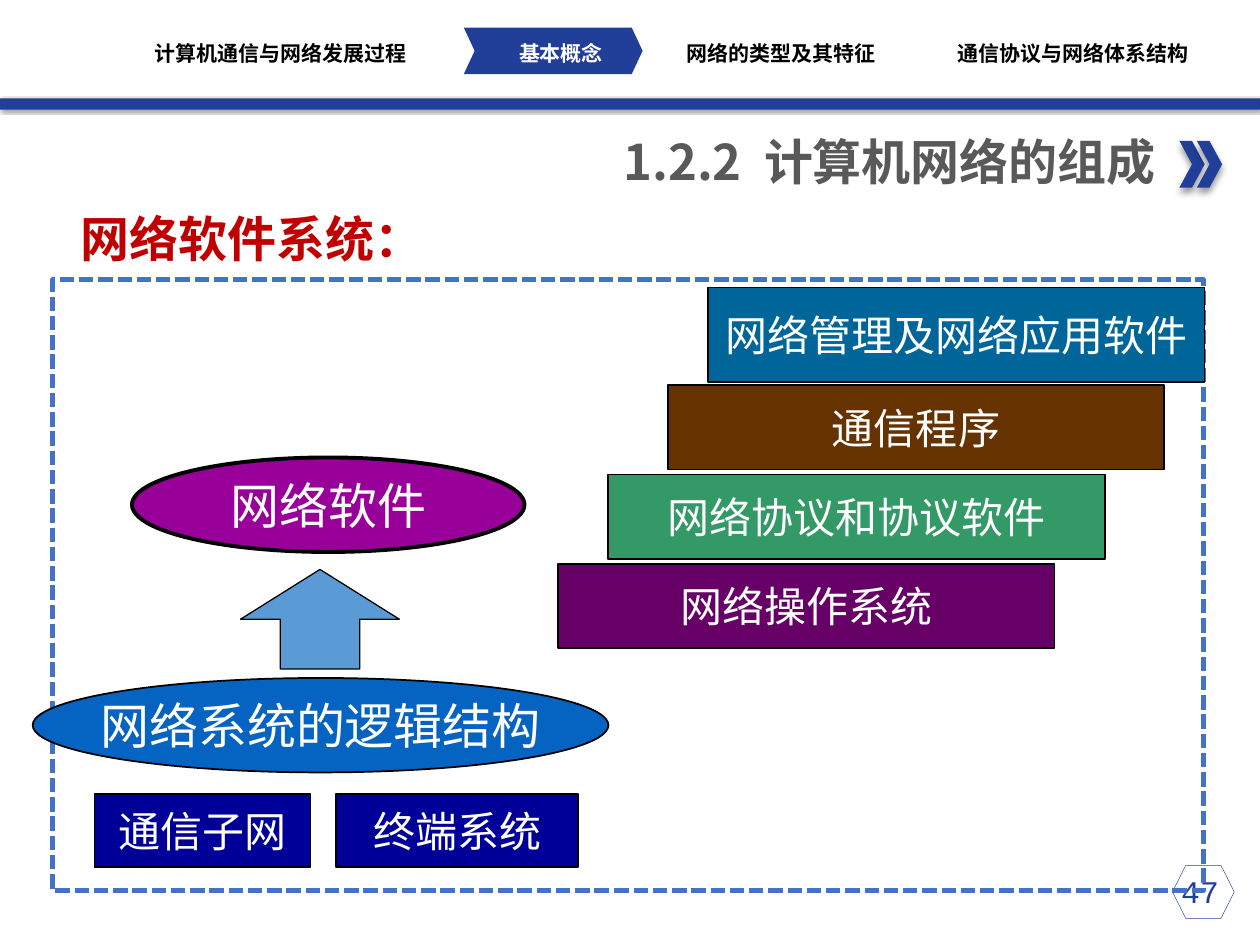
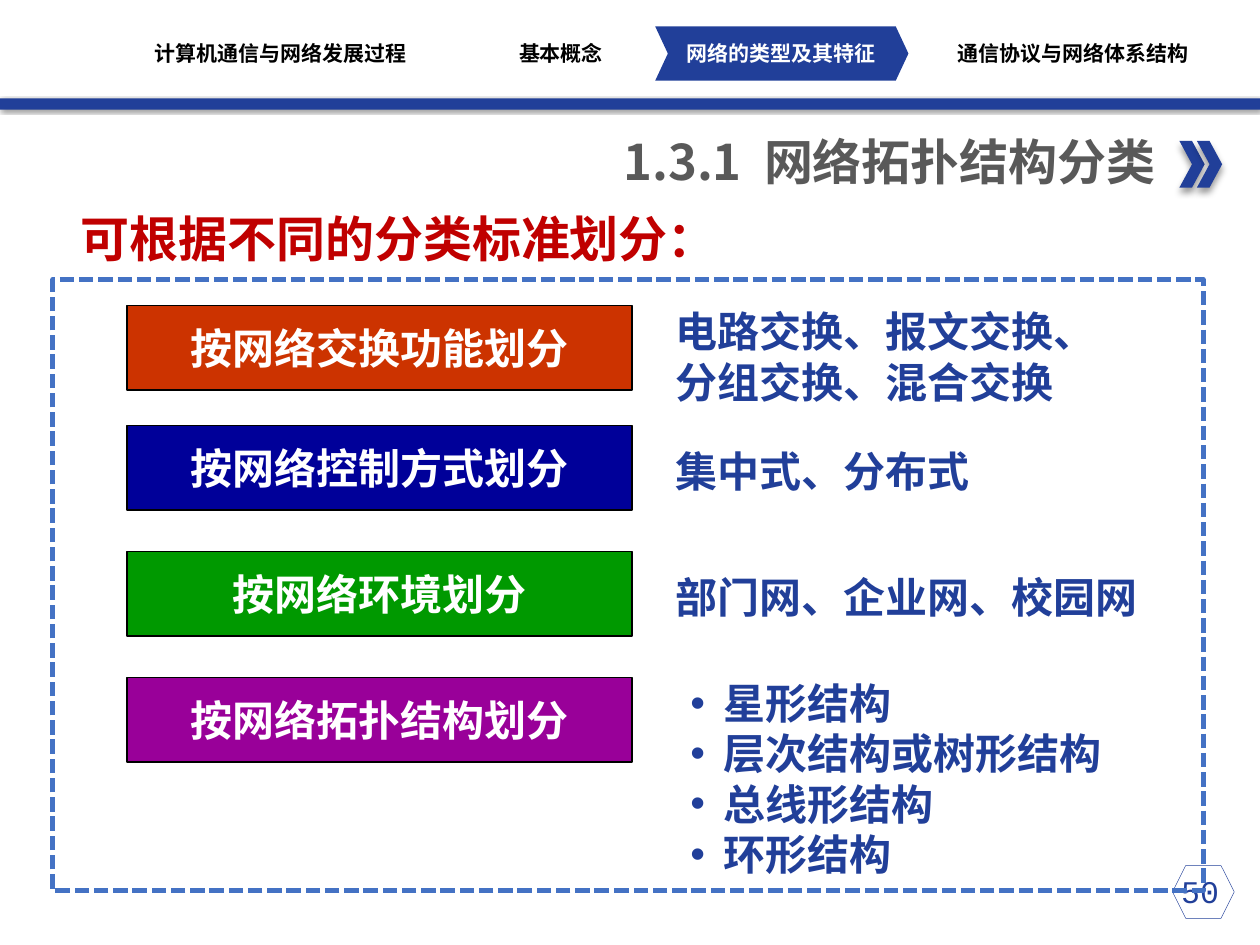
from dataclasses import dataclass

from lxml import etree
from pptx import Presentation
from pptx import util as u
from pptx.dml.color import RGBColor
from pptx.enum import dml, shapes, text
from pptx.oxml import ns

Pt = u.Pt
SHAPE = shapes.MSO_SHAPE
ALIGN = text.PP_ALIGN
ANCHOR = text.MSO_ANCHOR


@dataclass(frozen=True)
class Theme:
    navy: str = "213F99"
    grey: str = "595959"
    red: str = "C00000"
    frame: str = "4472C4"
    arrow: str = "5B9BD5"
    black: str = "000000"
    white: str = "FFFFFF"
    purple: str = "990099"
    plum: str = "660066"
    green: str = "339966"
    leaf: str = "009900"
    brown: str = "663300"
    teal: str = "006699"
    blue: str = "0563C1"
    deep_blue: str = "000099"
    orange: str = "CC3300"
    font: str = "Noto Sans CJK SC"
    nav_font: str = "Arial Narrow"
    page_font: str = "Courier New"
    heading: int = 28
    body: int = 24
    page: int = 18
    nav: int = 12
    leading: float = 28.8


T = Theme()

NAV = [
    ("计算机通信与网络发展过程", 160.3),
    ("基本概念", 320.6),
    ("网络的类型及其特征", 446.6),
    ("通信协议与网络体系结构", 613.4),
]


def child(parent, tag, **attrs):
    return etree.SubElement(parent, ns.qn(tag), {k: str(v) for k, v in attrs.items()})


def rgb(color):
    return RGBColor.from_string(color)


def write(sp, content, size=T.body, color=T.white, font=T.font, bold=False,
          align=ALIGN.CENTER, anchor=ANCHOR.MIDDLE, wrap=True, inset=None,
          leading=None, bullet=None):
    tf = sp.text_frame
    tf.word_wrap = wrap
    tf.vertical_anchor = anchor
    if inset is not None:
        tf.margin_left = tf.margin_right = tf.margin_top = tf.margin_bottom = Pt(inset)
    for i, line in enumerate(content.split("\n")):
        p = tf.add_paragraph() if i else tf.paragraphs[0]
        p.alignment = align
        if leading:
            p.line_spacing = Pt(leading)
        if bullet:
            pPr = p._p.get_or_add_pPr()
            pPr.set("marL", str(Pt(19)))
            pPr.set("indent", str(-Pt(19)))
            child(pPr, "a:buFont", typeface="Arial")
            child(pPr, "a:buChar", char=bullet)
        r = p.add_run()
        r.text = line
        r.font.size = Pt(size)
        r.font.bold = bold
        r.font.color.rgb = rgb(color)
        r.font.name = font
        child(r._r.get_or_add_rPr(), "a:ea", typeface=T.font)


def add_text(slide, box, content, **fmt):
    sp = slide.shapes.add_textbox(*map(Pt, box))
    write(sp, content, **fmt)
    return sp


def add_shape(slide, kind, box, fill=None, line=None, weight=1, adj=None):
    sp = slide.shapes.add_shape(kind, *map(Pt, box))
    sp.shadow.inherit = False
    if fill:
        sp.fill.solid()
        sp.fill.fore_color.rgb = rgb(fill)
    else:
        sp.fill.background()
    if line:
        sp.line.color.rgb = rgb(line)
        sp.line.width = Pt(weight)
    else:
        sp.line.fill.background()
    if adj is not None:
        sp.adjustments[0] = adj
    return sp


def add_label(slide, kind, box, fill, content, weight=1, **fmt):
    sp = add_shape(slide, kind, box, fill, T.black, weight)
    write(sp, content, wrap=False, **fmt)


def add_shadow(sp, blur, dist, angle):
    effects = sp._element.spPr.find(ns.qn("a:effectLst"))
    shadow = child(effects, "a:outerShdw", blurRad=Pt(blur), dist=Pt(dist),
                   dir=angle * 60000, algn="t", rotWithShape=0)
    color = child(shadow, "a:srgbClr", val=T.black)
    child(color, "a:alpha", val=40000)


def add_nav(slide, active, marker):
    add_shape(slide, SHAPE.CHEVRON, marker, T.navy, adj=0.234)
    width = 180
    for i, (label, center) in enumerate(NAV):
        add_text(slide, (center - width / 2, 23, width, 14.4), label, size=T.nav,
                 font=T.nav_font, bold=True, inset=0,
                 color=T.white if i == active else T.black)


def add_base(prs, title, heading, page, active, marker):
    slide = prs.slides.add_slide(prs.slide_layouts[5])
    sp = slide.shapes.title
    sp.left, sp.top, sp.width, sp.height = map(Pt, (224, 71.3, 443.5, 41))
    write(sp, title, size=T.heading, color=T.grey, bold=True, align=ALIGN.RIGHT)
    add_shape(slide, SHAPE.HEXAGON, (670, 494.6, 35.3, 30.2), line=T.navy, weight=0.25)
    band = add_shape(slide, SHAPE.RECTANGLE, (0, 56.2, 720, 6.5), T.navy)
    add_shadow(band, 2, 1, 45)
    for left in (674, 684):
        arrow = add_shape(slide, SHAPE.CHEVRON, (left, 80.6, 14.4, 26.6), T.navy)
        add_shadow(arrow, 4, 3, 90)
    add_text(slide, (654.5, 494.6, 62.6, 29), page, size=T.page, color=T.navy,
             font=T.page_font, anchor=ANCHOR.TOP)
    frame = add_shape(slide, SHAPE.RECTANGLE, (30.2, 159.8, 657.4, 349.2),
                      line=T.frame, weight=2.75)
    frame.line.dash_style = dml.MSO_LINE.SQUARE_DOT
    add_nav(slide, active, marker)
    add_text(slide, (39, 115.5, 500, 41), heading, size=T.heading, color=T.red,
             bold=True, align=ALIGN.LEFT)
    return slide


def build_software(prs):
    slide = add_base(prs, "1.2.2  计算机网络的组成", "网络软件系统：", "47", 1,
                     (265, 15.8, 102.2, 26.6))
    layers = [
        ("网络管理及网络应用软件", 404.6, 164.2, 54, T.teal),
        ("通信程序", 381.6, 220.2, 48.2, T.brown),
        ("网络协议和协议软件", 347.6, 271.2, 48.2, T.green),
        ("网络操作系统", 319, 322.2, 48.2, T.plum),
    ]
    for label, left, top, height, fill in layers:
        add_label(slide, SHAPE.RECTANGLE, (left, top, 283.7, height), fill, label)
    add_label(slide, SHAPE.OVAL, (75.4, 261.4, 224.3, 54), T.purple, "网络软件",
              weight=2.25, size=T.heading)
    add_label(slide, SHAPE.OVAL, (18.7, 387.4, 329, 54), T.blue,
              "网络系统的逻辑结构", size=T.heading)
    for label, left, width in (("通信子网", 54, 123.4), ("终端系统", 192, 138.5)):
        add_label(slide, SHAPE.RECTANGLE, (left, 453.6, width, 41.8), T.deep_blue, label)
    add_shape(slide, SHAPE.UP_ARROW, (137.5, 325.4, 90.7, 56.9), T.arrow, T.black, 0.75)


def build_classification(prs):
    slide = add_base(prs, "1.3.1  网络拓扑结构分类", "可根据不同的分类标准划分：", "50", 2,
                     (374.4, 15.1, 144.7, 31))
    criteria = [
        ("按网络交换功能划分", 174.6, T.orange,
         "电路交换、报文交换、分组交换、混合交换", (378.7, 171, 266.4, 65), None),
        ("按网络控制方式划分", 243.2, T.deep_blue,
         "集中式、分布式", (378.7, 251, 198, 36), None),
        ("按网络环境划分", 315.2, T.leaf,
         "部门网、企业网、校园网", (378.7, 323, 293.8, 36), None),
        ("按网络拓扑结构划分", 387.2, T.purple,
         "星形结构\n层次结构或树形结构\n总线形结构\n环形结构",
         (387.4, 382.7, 270, 124), "•"),
    ]
    for label, top, fill, detail, box, bullet in criteria:
        add_label(slide, SHAPE.RECTANGLE, (72.7, top, 288.5, 48.2), fill, label, bold=True)
        add_text(slide, box, detail, color=T.navy, bold=True, align=ALIGN.LEFT,
                 leading=T.leading, bullet=bullet)


def main():
    prs = Presentation()
    prs.slide_width, prs.slide_height = Pt(720), Pt(540)
    build_software(prs)
    build_classification(prs)
    prs.save("out.pptx")


if __name__ == "__main__":
    main()
